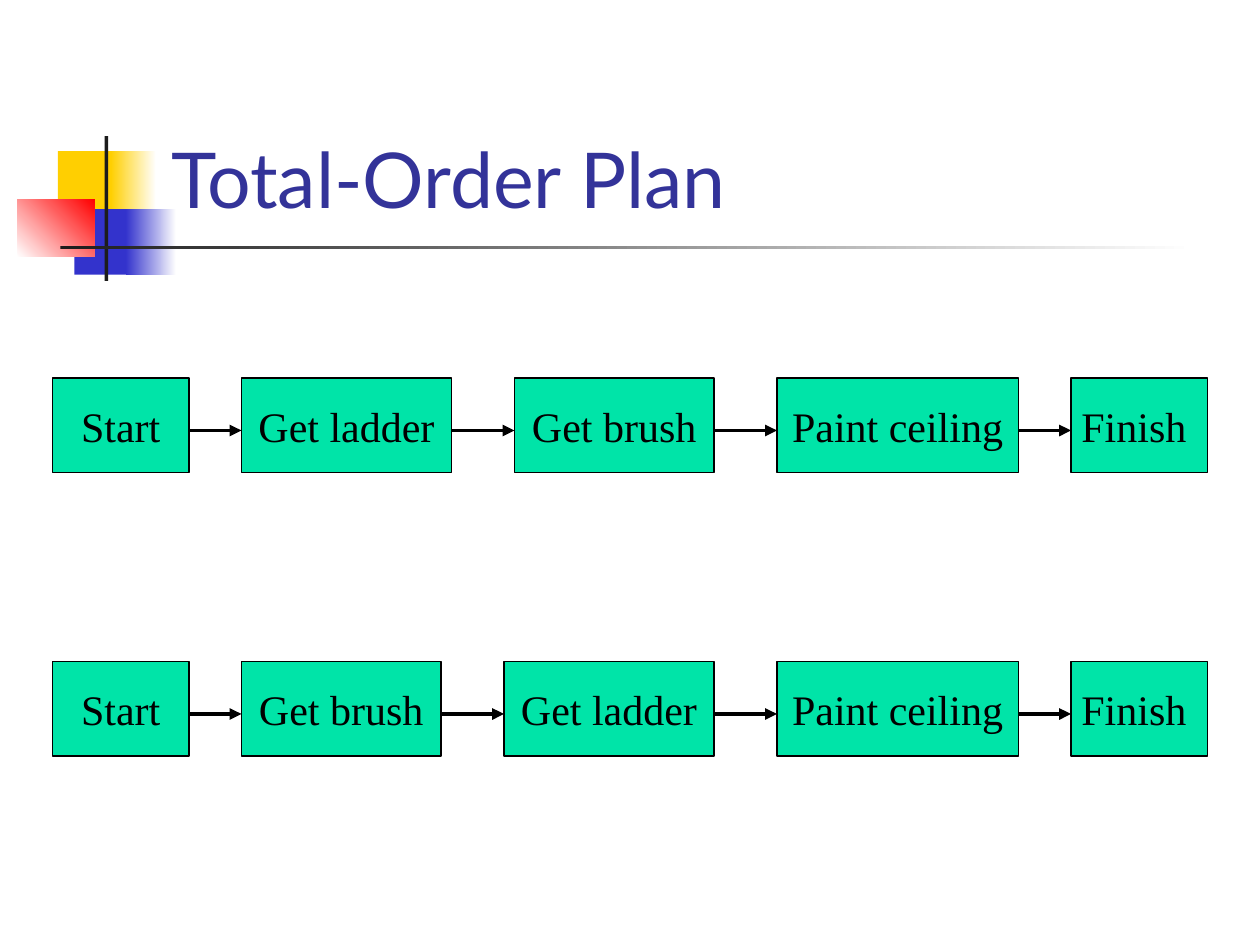
"""Build the Total-Order Plan slide: two chains of steps joined by arrows."""
from dataclasses import dataclass
from itertools import pairwise

from lxml import etree
from pptx import Presentation
from pptx import util as u
from pptx.dml.color import RGBColor
from pptx.enum import shapes, text
from pptx.oxml.ns import qn


@dataclass(frozen=True)
class Theme:
    yellow: str = "FFCF01"
    blue: str = "3333CC"
    red: str = "FF0000"
    bar: str = "1C1C1C"
    paper: str = "FFFFFF"
    title: str = "333399"
    step: str = "00E4A8"
    ink: str = "000000"
    title_font: str = "Lato"
    step_font: str = "Times New Roman"
    title_size: float = 44
    step_size: float = 24
    outline: float = 0.75
    arrow: float = 2.25


@dataclass(frozen=True)
class Box:
    """Left, top, width and height as percentages of the slide."""
    left: float
    top: float
    width: float
    height: float


@dataclass(frozen=True)
class Ornament:
    box: Box
    start: str
    end: str | None = None
    angle: float = 0


@dataclass(frozen=True)
class Step:
    label: str
    cols: int


@dataclass(frozen=True)
class Chain:
    row: int
    steps: tuple[Step, ...]


T = Theme()
WIDTH, HEIGHT = u.Inches(10), u.Inches(7.5)
COLS, ROWS = 120, 90
FIRST_COL, STEP_ROWS, ARROW_ROW = 5, 9, 5
GAPS = (5, 6, 6, 5)

TITLE_BOX = Box(12.6, 3.07, 85.2, 21.33)
ORNAMENTS = (
    Ornament(Box(4.6, 16, 4.8, 6.93), T.yellow),
    Ornament(Box(8.8, 16, 3.6, 6.93), T.yellow, T.paper),
    Ornament(Box(5.9, 22.13, 4.6, 6.93), T.blue),
    Ornament(Box(10, 22.13, 4, 6.93), T.blue, T.paper),
    Ornament(Box(1.4, 21.07, 6.1, 6.13), T.paper, T.red, 45),
    Ornament(Box(8.3, 14.4, 0.3, 15.33), T.bar),
    Ornament(Box(4.8, 26, 90, 0.4), T.bar, T.paper),
)

START, FINISH = Step("Start", 13), Step("Finish ", 13)
LADDER, BRUSH = Step("Get ladder", 20), Step("Get brush", 19)
PAINT = Step("Paint ceiling", 23)
CHAINS = (
    Chain(36, (START, LADDER, BRUSH, PAINT, FINISH)),
    Chain(63, (START, BRUSH, LADDER, PAINT, FINISH)),
)


def rgb(value: str) -> RGBColor:
    return RGBColor.from_string(value)


def place(box: Box) -> tuple[int, int, int, int]:
    return (int(WIDTH * box.left / 100), int(HEIGHT * box.top / 100),
            int(WIDTH * box.width / 100), int(HEIGHT * box.height / 100))


def col(n: float) -> int:
    return int(WIDTH * n / COLS)


def row(n: float) -> int:
    return int(HEIGHT * n / ROWS)


def write(sp, words: str, font: str, size: float, color: str):
    """Put one formatted paragraph in a shape and return its text frame."""
    tf = sp.text_frame
    tf.text = words
    r = tf.paragraphs[0].runs[0]
    r.font.name, r.font.size = font, u.Pt(size)
    r.font.color.rgb = rgb(color)
    return tf


def add_ornament(s, item: Ornament) -> None:
    sp = s.shapes.add_shape(shapes.MSO_SHAPE.RECTANGLE, *place(item.box))
    sp.shadow.inherit = False
    sp.line.fill.background()
    if item.end is None:
        sp.fill.solid()
        sp.fill.fore_color.rgb = rgb(item.start)
        return
    sp.fill.gradient()
    sp.fill.gradient_angle = item.angle
    for stop, color in zip(sp.fill.gradient_stops, (item.start, item.end)):
        stop.color.rgb = rgb(color)


def add_title(s, words: str) -> None:
    sp = s.shapes.add_textbox(*place(TITLE_BOX))
    tf = write(sp, words, T.title_font, T.title_size, T.title)
    tf.word_wrap = True
    tf.vertical_anchor = text.MSO_ANCHOR.BOTTOM


def add_step(s, step: Step, left: int, top: int) -> None:
    sp = s.shapes.add_shape(shapes.MSO_SHAPE.RECTANGLE, col(left), row(top),
                            col(step.cols), row(STEP_ROWS))
    sp.shadow.inherit = False
    sp.fill.solid()
    sp.fill.fore_color.rgb = rgb(T.step)
    sp.line.color.rgb = rgb(T.ink)
    sp.line.width = u.Pt(T.outline)
    tf = write(sp, step.label, T.step_font, T.step_size, T.ink)
    tf.word_wrap = False
    tf.vertical_anchor = text.MSO_ANCHOR.MIDDLE
    tf.paragraphs[0].alignment = text.PP_ALIGN.CENTER


def add_arrow(s, start: int, end: int, at_row: int) -> None:
    c = s.shapes.add_connector(shapes.MSO_CONNECTOR.STRAIGHT,
                               col(start), row(at_row), col(end), row(at_row))
    c.line.color.rgb = rgb(T.ink)
    c.line.width = u.Pt(T.arrow)
    etree.SubElement(c.line._get_or_add_ln(), qn("a:tailEnd"), type="triangle")
    etree.SubElement(c._element.spPr, qn("a:effectLst"))


def add_chain(s, chain: Chain) -> None:
    lefts = [FIRST_COL]
    for step, gap in zip(chain.steps, GAPS):
        lefts.append(lefts[-1] + step.cols + gap)
    for step, left in zip(chain.steps, lefts):
        add_step(s, step, left, chain.row)
    for (_, end), gap in zip(pairwise(lefts), GAPS):
        add_arrow(s, end - gap, end, chain.row + ARROW_ROW)


def main() -> None:
    prs = Presentation()
    prs.slide_width, prs.slide_height = WIDTH, HEIGHT
    s = prs.slides.add_slide(prs.slide_layouts[6])
    for item in ORNAMENTS:
        add_ornament(s, item)
    add_title(s, "Total-Order Plan")
    for chain in CHAINS:
        add_chain(s, chain)
    prs.save("out.pptx")


if __name__ == "__main__":
    main()
